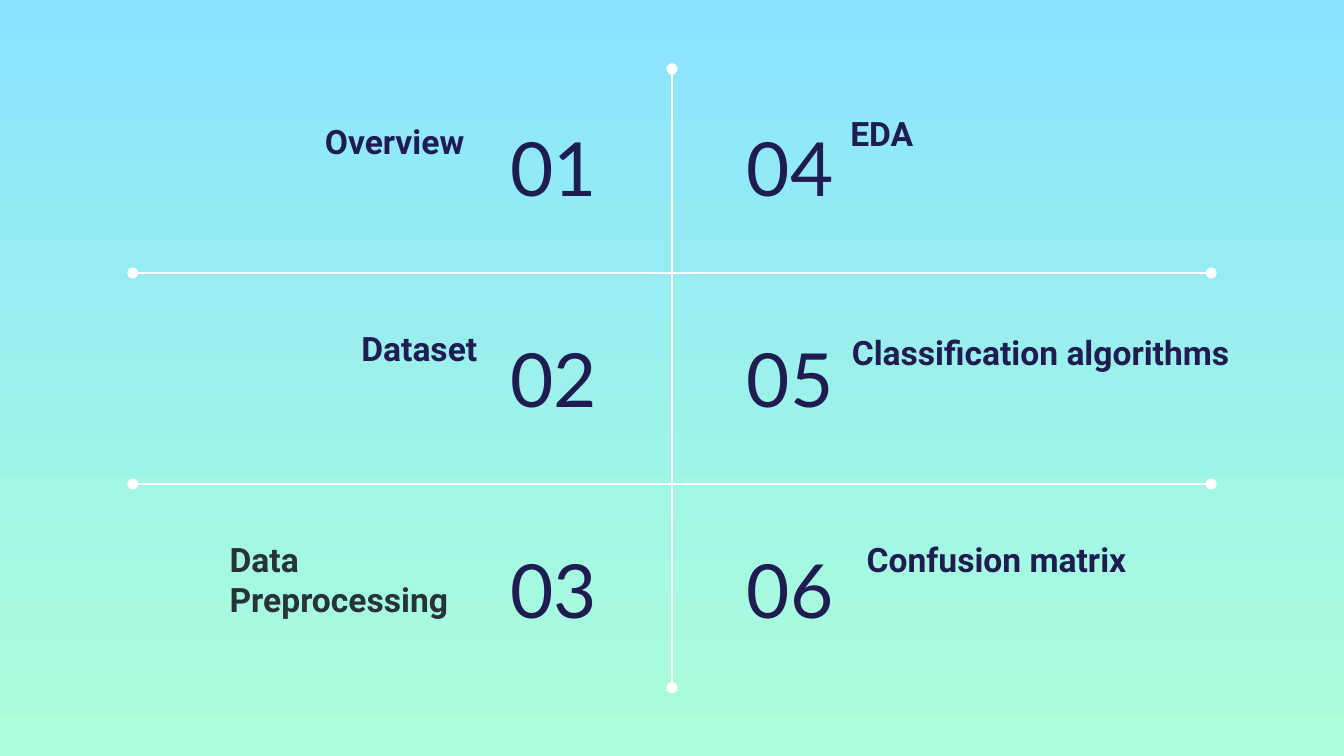
from lxml import etree
from pptx import Presentation
from pptx import util as u
from pptx.dml.color import RGBColor
from pptx.enum import shapes, text
from pptx.oxml.ns import qn

NAVY = RGBColor(0x1F, 0x1C, 0x51)
CHARCOAL = RGBColor(0x27, 0x32, 0x39)
WHITE = RGBColor(0xFF, 0xFF, 0xFF)
SKY = RGBColor(0x8B, 0xE3, 0xFF)
MINT = RGBColor(0xAC, 0xFF, 0xD9)

# Each column lists its topics from top to bottom:
# label, left, top and width in cm, colour
COLUMNS = [
    [
        ("Overview", 5.89, 2.03, 3.94, NAVY),
        ("Dataset", 6.58, 5.94, 3.94, NAVY),
        ("Data Preprocessing", 4.09, 9.93, 5.74, CHARCOAL),
    ],
    [
        ("EDA", 15.82, 1.88, 3.94, NAVY),
        ("Classification algorithms", 15.85, 6.02, 9.22, NAVY),
        ("Confusion matrix", 16.13, 9.93, 6.55, NAVY),
    ],
]

WIDTH, HEIGHT = 25.4, 14.29
CENTER = WIDTH / 2
ROW_PITCH = 3.99
NUMBER_TOP, NUMBER_WIDTH, NUMBER_HEIGHT = 2.06, 3.3, 2.18
LABEL_HEIGHT = 2.01
RULE_MARGIN, FIRST_RULE = 2.51, 5.16
DIVIDER_TOP, DIVIDER_BOTTOM = 1.3, 13.0
INSET = 0.25


def add_text(slide, content, box, font_name, size, color, bold=False):
    """Add a one-paragraph text box and return its shape and paragraph."""
    shape = slide.shapes.add_textbox(*(u.Cm(length) for length in box))
    frame = shape.text_frame
    frame.word_wrap = True
    frame.margin_left = frame.margin_right = u.Cm(INSET)
    frame.margin_top = frame.margin_bottom = u.Cm(INSET)
    paragraph = frame.paragraphs[0]
    run = paragraph.add_run()
    run.text = content
    run.font.name = font_name
    run.font.size = u.Pt(size)
    run.font.bold = bold
    run.font.color.rgb = color
    return shape, paragraph


def add_number(slide, number, column, row):
    left = CENTER - NUMBER_WIDTH if column == 0 else CENTER
    box = (left, NUMBER_TOP + row * ROW_PITCH, NUMBER_WIDTH, NUMBER_HEIGHT)
    shape, paragraph = add_text(slide, f"{number:02d}", box, "Lato", 40, NAVY)
    shape.text_frame.vertical_anchor = text.MSO_ANCHOR.MIDDLE
    paragraph.alignment = text.PP_ALIGN.LEFT if column == 0 else text.PP_ALIGN.RIGHT


def add_label(slide, label, left, top, width, color):
    box = (left, top, width, LABEL_HEIGHT)
    _, paragraph = add_text(slide, label, box, "Roboto", 18, color, bold=True)
    paragraph.space_before = paragraph.space_after = u.Pt(16)


def add_dotted_end_line(slide, *ends):
    """Add a white line with a round dot at both ends."""
    line = slide.shapes.add_connector(
        shapes.MSO_CONNECTOR.STRAIGHT, *(u.Cm(length) for length in ends)
    )
    line.line.color.rgb = WHITE
    line.line.width = u.Pt(1.5)
    properties = line.line._get_or_add_ln()
    for tag in ("a:headEnd", "a:tailEnd"):
        etree.SubElement(properties, qn(tag), type="oval")
    etree.SubElement(line._element.spPr, qn("a:effectLst"))


def main():
    presentation = Presentation()
    presentation.slide_width = u.Cm(WIDTH)
    presentation.slide_height = u.Cm(HEIGHT)
    slide = presentation.slides.add_slide(presentation.slide_layouts[6])

    fill = slide.background.fill
    fill.gradient()
    fill.gradient_angle = 270
    for stop, color, position in zip(fill.gradient_stops, (SKY, MINT), (0, 1)):
        stop.color.rgb = color
        stop.position = position

    add_dotted_end_line(slide, CENTER, DIVIDER_TOP, CENTER, DIVIDER_BOTTOM)
    for row in range(len(COLUMNS[0]) - 1):
        y = FIRST_RULE + row * ROW_PITCH
        add_dotted_end_line(slide, RULE_MARGIN, y, WIDTH - RULE_MARGIN, y)

    number = 0
    for column, topics in enumerate(COLUMNS):
        for row, topic in enumerate(topics):
            number += 1
            add_number(slide, number, column, row)
            add_label(slide, *topic)

    presentation.save("out.pptx")


if __name__ == "__main__":
    main()
